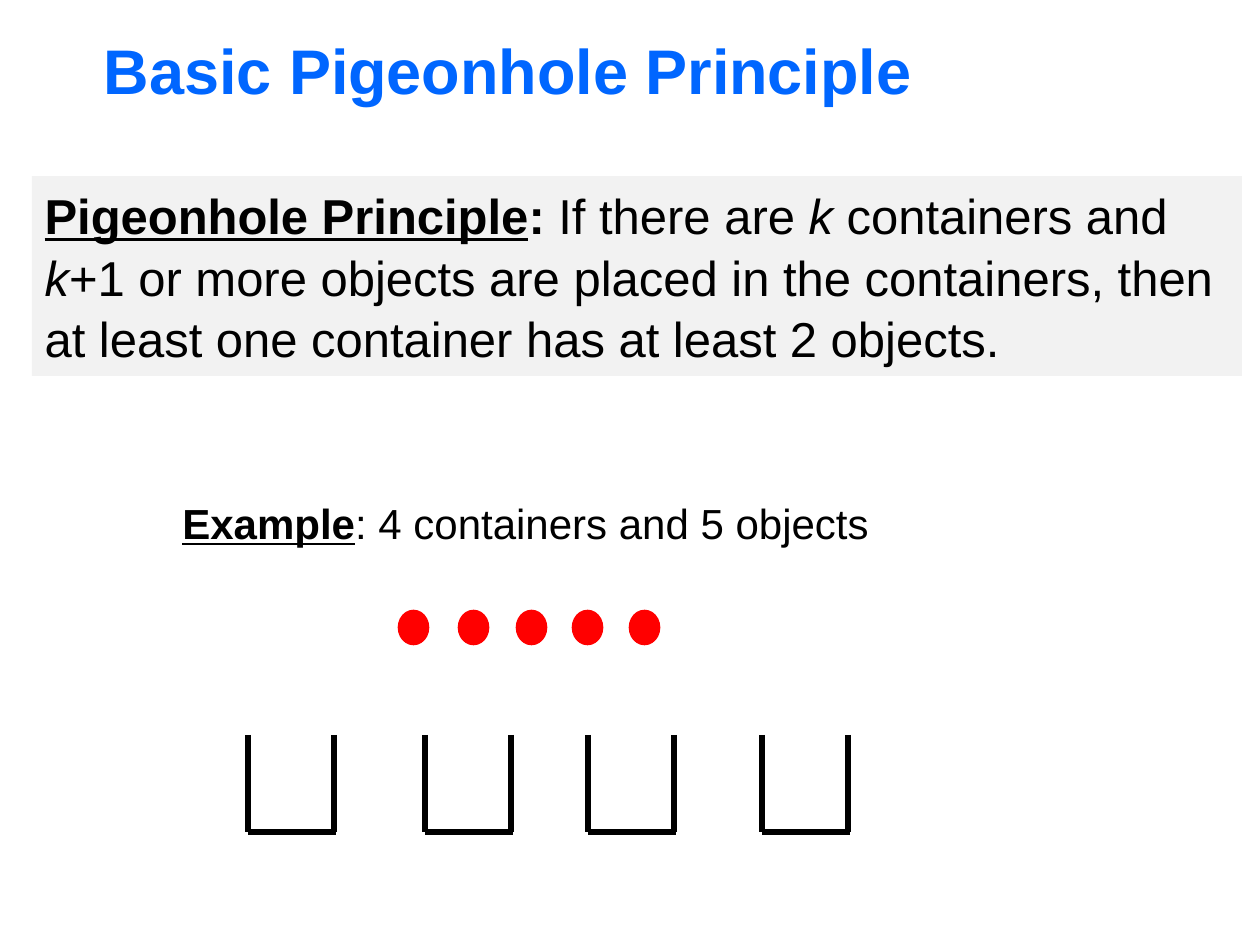
from lxml import etree
from pptx import Presentation
from pptx.dml.color import RGBColor
from pptx.enum.shapes import MSO_CONNECTOR, MSO_SHAPE
from pptx.enum.text import MSO_ANCHOR, MSO_AUTO_SIZE, PP_ALIGN
from pptx.oxml.ns import qn
from pptx.util import Emu, Pt

STRAIGHT, OVAL = MSO_CONNECTOR.STRAIGHT, MSO_SHAPE.OVAL
MIDDLE, TOP, LEFT = MSO_ANCHOR.MIDDLE, MSO_ANCHOR.TOP, PP_ALIGN.LEFT
NO_FIT = MSO_AUTO_SIZE.NONE

TITLE = [("Basic Pigeonhole Principle", "b")]
PRINCIPLE = [
    ("Pigeonhole Principle", "bu"),
    (":", "b"),
    (" If there are ", ""),
    ("k", "i"),
    (" containers and ", ""),
    ("k", "i"),
    ("+1 or more objects are placed in the containers, "
     "then at least one container has at least 2 objects.", ""),
]
EXAMPLE = [("Example", "bu"), (": 4 containers and 5 objects", "")]

OBJECT_LEFTS = [399, 459, 517, 573, 630]
OBJECT_TOP, OBJECT_WIDTH, OBJECT_HEIGHT = 611, 29, 33
CONTAINER_LEFTS = [248, 425, 588, 762]
CONTAINER_TOP, CONTAINER_BOTTOM = 735, 832
CONTAINER_WIDTH, BASE_WIDTH = 86, 88
BLACK, BLUE, RED, GREY = "000000", "0066FF", "FF0000", "F2F2F2"


def px(n):
    return Emu(round(n * 914400 / 126))


def color(value):
    return RGBColor.from_string(value)


def place(part, left, top, width, height):
    part.left, part.top = px(left), px(top)
    part.width, part.height = px(width), px(height)


def write(part, runs, size, ink, anchor):
    frame = part.text_frame
    frame.auto_size = NO_FIT
    frame.vertical_anchor = anchor
    paragraph = frame.paragraphs[0]
    paragraph.alignment = LEFT
    paragraph.font.name = "Arial"
    paragraph.font.size = Pt(size)
    paragraph.font.color.rgb = color(ink)
    for text, style in runs:
        run = paragraph.add_run()
        run.text = text
        run.font.bold = "b" in style
        run.font.italic = "i" in style
        run.font.underline = "u" in style
    return paragraph


def add_wall(slide, x1, y1, x2, y2):
    wall = slide.shapes.add_connector(STRAIGHT, px(x1), px(y1), px(x2), px(y2))
    wall.line.color.rgb = color(BLACK)
    wall.line.width = Pt(3)
    etree.SubElement(wall._element.spPr, qn("a:effectLst"))


def add_container(slide, left):
    right = left + CONTAINER_WIDTH
    add_wall(slide, left, CONTAINER_TOP, left, CONTAINER_BOTTOM)
    add_wall(slide, left, CONTAINER_BOTTOM, left + BASE_WIDTH, CONTAINER_BOTTOM)
    add_wall(slide, right, CONTAINER_TOP, right, CONTAINER_BOTTOM)


def add_object(slide, left):
    dot = slide.shapes.add_shape(OVAL, px(left), px(OBJECT_TOP),
                                 px(OBJECT_WIDTH), px(OBJECT_HEIGHT))
    dot.shadow.inherit = False
    dot.fill.solid()
    dot.fill.fore_color.rgb = color(RED)
    dot.line.color.rgb = color(RED)
    dot.line.width = Pt(1.5)


def main():
    deck = Presentation()
    deck.slide_width, deck.slide_height = px(1260), px(945)
    slide = deck.slides.add_slide(deck.slide_layouts[1])

    title = slide.shapes.title
    place(title, 91, 26, 1071, 86)
    write(title, TITLE, 36, BLUE, MIDDLE)

    principle = slide.placeholders[1]
    place(principle, 32, 176, 1210, 200)
    principle.fill.solid()
    principle.fill.fore_color.rgb = color(GREY)
    statement = write(principle, PRINCIPLE, 28, BLACK, TOP)
    statement.line_spacing = 1.05
    statement.space_before = Pt(0)
    properties = statement._p.get_or_add_pPr()
    properties.set("marL", "0")
    properties.set("indent", "0")
    bullet = etree.Element(qn("a:buNone"))
    properties.find(qn("a:defRPr")).addprevious(bullet)

    for left in CONTAINER_LEFTS:
        add_container(slide, left)
    for left in OBJECT_LEFTS:
        add_object(slide, left)

    example = slide.shapes.add_textbox(px(170), px(491), px(718), px(63))
    example.text_frame.word_wrap = False
    write(example, EXAMPLE, 24, BLACK, TOP)

    deck.save("out.pptx")


if __name__ == "__main__":
    main()
